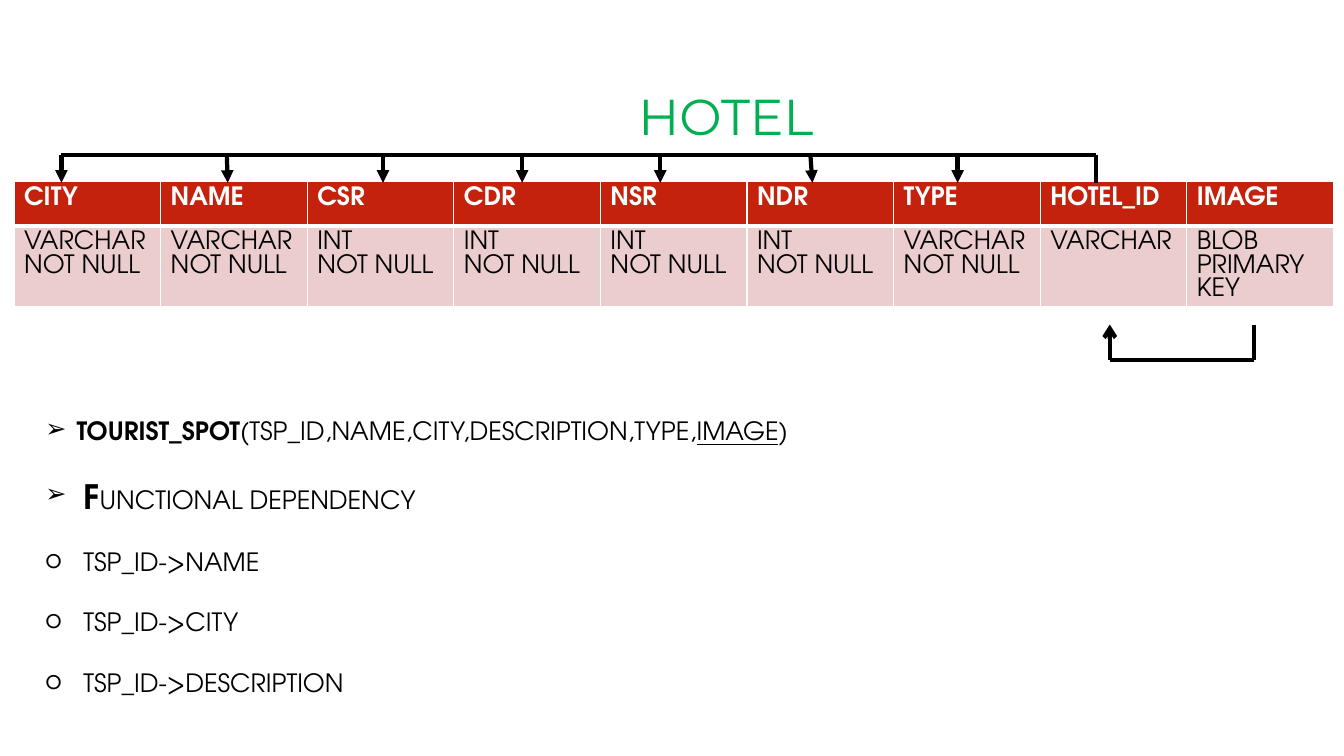
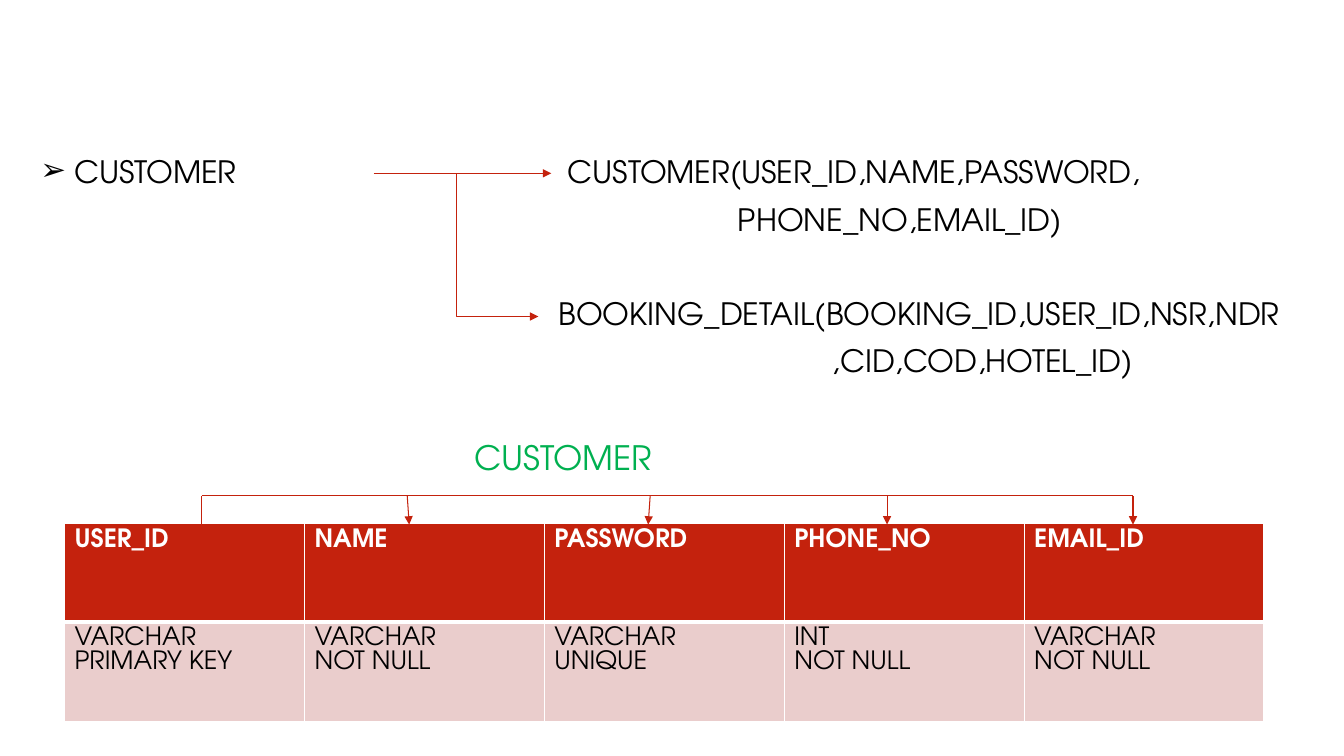
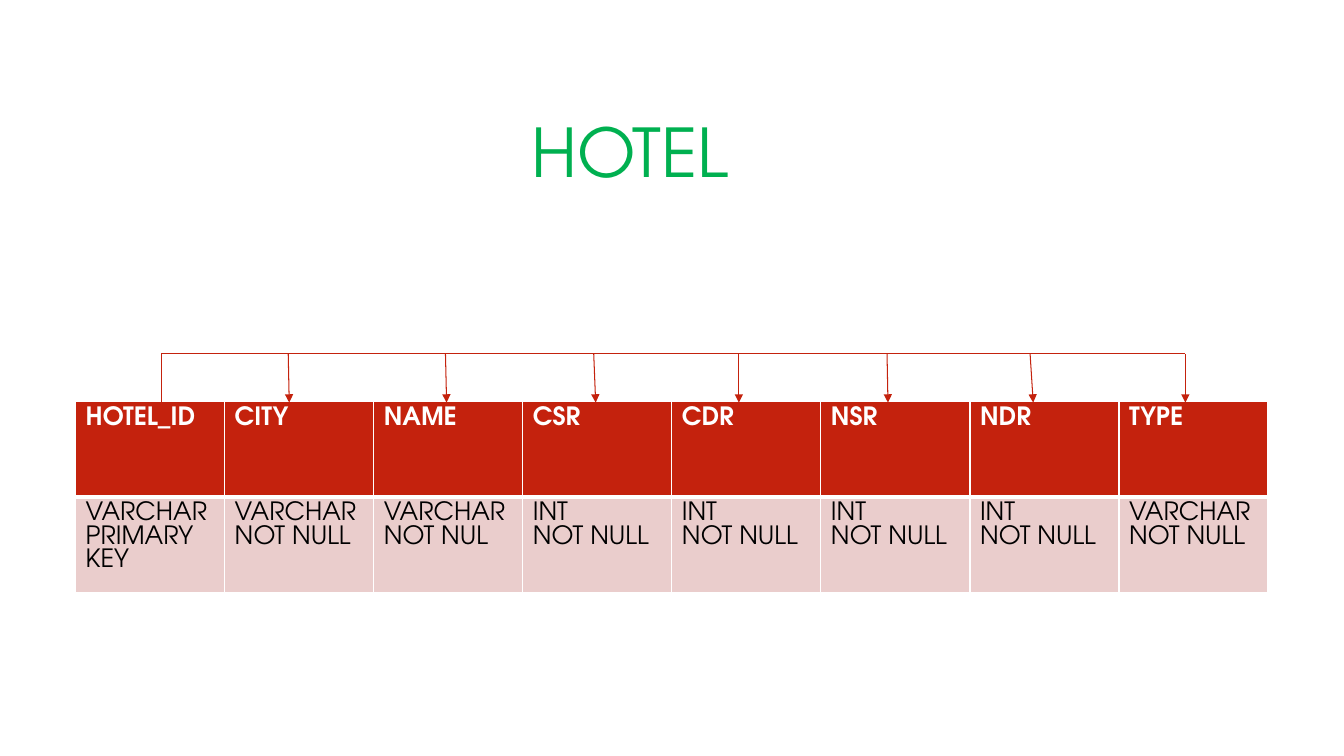
from pptx import Presentation
from pptx.dml.color import RGBColor
from pptx.enum.shapes import MSO_CONNECTOR as Connector
from pptx.enum.text import MSO_ANCHOR as Anchor, MSO_AUTO_SIZE as AutoSize, PP_ALIGN as Align
from pptx.oxml.ns import qn
from pptx.util import Pt
from lxml.etree import SubElement

FONT, TITLE_FONT = "TeX Gyre Adventor", "Montserrat"
RED, PINK, GREEN, BLACK, WHITE = "C4220D", "EACDCC", "00B050", "000000", "FFFFFF"
CELL_LEADING = 16.8
LIST_GAP = 21.6

HOTEL_FIELDS = {
    "columns": [
        ("CITY", "VARCHAR", "NOT NULL"), ("NAME", "VARCHAR", "NOT NULL"),
        ("CSR", "INT", "NOT NULL"), ("CDR", "INT", "NOT NULL"),
        ("NSR", "INT", "NOT NULL"), ("NDR", "INT", "NOT NULL"),
        ("TYPE", "VARCHAR", "NOT NULL"), ("HOTEL_ID", "VARCHAR"),
        ("IMAGE", "BLOB", "PRIMARY", "KEY")],
    "box": (10, 129.6, 942.5), "rows": (31.7, 57.6),
    "source": 782.6, "bus": 110.9, "color": BLACK, "weight": 3,
    "targets": [(43.9, 43.9), (162, 162.7), (273.6, 273.6), (373, 373),
                (471.6, 471.6), (578.9, 580.3), (684, 684)],
}
CUSTOMER_FIELDS = {
    "columns": [
        ("USER_ID", "VARCHAR", "PRIMARY KEY"), ("NAME", "VARCHAR", "NOT NULL"),
        ("PASSWORD", "VARCHAR", "UNIQUE"), ("PHONE_NO", "INT", "NOT NULL"),
        ("EMAIL_ID", "VARCHAR", "NOT NULL")],
    "box": (46.1, 373.7, 856.8), "rows": (70.8, 70.8),
    "source": 144, "bus": 354.3, "color": RED, "weight": 0.75,
    "targets": [(290.9, 292.3), (464.4, 463), (633.6, 633.6), (809.3, 809.3)],
}
HOTEL_KEY_FIELDS = {
    "columns": [
        ("HOTEL_ID", "VARCHAR", "PRIMARY", "KEY"), ("CITY", "VARCHAR", "NOT NULL"),
        ("NAME", "VARCHAR", "NOT NUL"), ("CSR", "INT", "NOT NULL"),
        ("CDR", "INT", "NOT NULL"), ("NSR", "INT", "NOT NULL"),
        ("NDR", "INT", "NOT NULL"), ("TYPE", "VARCHAR", "NOT NULL")],
    "box": (54, 286.6, 851.8), "rows": (68.4, 68.4),
    "source": 115.2, "bus": 252.7, "color": RED, "weight": 0.75,
    "targets": [(205.9, 206.6), (318.2, 319), (424.1, 425.5), (527.8, 527.8),
                (633.6, 634.3), (735.8, 738), (846.7, 846.7)],
}

PLAIN, BOLD = {}, {"bold": True}
TOURIST_SPOT_LIST = [
    ("➢", 22.3, 100, [("TOURIST_SPOT", BOLD), ("(TSP_ID,NAME,CITY,DESCRIPTION,TYPE,", PLAIN),
                      ("IMAGE", {"underline": True}), (")", PLAIN)]),
    ("➢", 27.2, 75, [("F", {"bold": True, "size": Pt(24)}), ("UNCTIONAL DEPENDENCY", PLAIN)]),
    ("o", 27.2, 100, [("TSP_ID->NAME", PLAIN)]),
    ("o", 27.2, 100, [("TSP_ID->CITY", PLAIN)]),
    ("o", 27.2, 100, [("TSP_ID->DESCRIPTION", PLAIN)]),
]
RELATIONS = [
    ("CUSTOMER(USER_ID,NAME,PASSWORD,", 6.5, 0),
    ("PHONE_NO,EMAIL_ID)", 128, 10),
    ("BOOKING_DETAIL(BOOKING_ID,USER_ID,NSR,NDR", 0, 43.7),
    (",CID,COD,HOTEL_ID)", 195, 10),
]


def rgb(color):
    return RGBColor.from_string(color)


def add_run(paragraph, text, size=18, color=BLACK, font=FONT, **extra):
    run = paragraph.add_run()
    run.text = text
    formats = {"name": font, "size": Pt(size), "bold": False, **extra}
    for name, value in formats.items():
        setattr(run.font, name, value)
    run.font.color.rgb = rgb(color)


def format_paragraph(paragraph, **formats):
    for name, value in {"space_before": Pt(0), "space_after": Pt(0), **formats}.items():
        setattr(paragraph, name, value)


def indent(paragraph, left, bullet=None, percent=100):
    properties = paragraph._p.get_or_add_pPr()
    properties.set("marL", str(Pt(left)))
    properties.set("indent", str(-Pt(left) if bullet else 0))
    if bullet:
        SubElement(properties, qn("a:buSzPct")).set("val", str(percent * 1000))
        SubElement(properties, qn("a:buFont")).set("typeface", FONT)
        SubElement(properties, qn("a:buChar")).set("char", bullet)


def place(shape, box, anchor=Anchor.TOP):
    shape.left, shape.top, shape.width, shape.height = map(Pt, box)
    frame = shape.text_frame
    for name, value in {"word_wrap": True, "auto_size": AutoSize.NONE,
                        "vertical_anchor": anchor}.items():
        setattr(frame, name, value)
    return frame


def paragraphs_for(frame, items):
    for index, item in enumerate(items):
        yield (frame.add_paragraph() if index else frame.paragraphs[0]), item


def set_title(slide, text, box, size, font=FONT, align=Align.RIGHT):
    paragraph = place(slide.shapes.title, box, Anchor.MIDDLE).paragraphs[0]
    format_paragraph(paragraph, alignment=align, line_spacing=0.9)
    add_run(paragraph, text, size, GREEN, font)


def add_line(slide, start, end, color, weight, arrow=None, kind=Connector.STRAIGHT):
    connector = slide.shapes.add_connector(kind, *map(Pt, (*start, *end)))
    connector.line.color.rgb = rgb(color)
    connector.line.width = Pt(weight)
    properties = connector._element.spPr
    if arrow:
        SubElement(properties.find(qn("a:ln")), qn("a:tailEnd")).set("type", arrow)
    SubElement(properties, qn("a:effectLst"))


def fill_cell(cell, lines, header):
    properties = cell._tc.get_or_add_tcPr()
    widths = {"lnL": 1, "lnR": 1, "lnT": 1 if header else 3, "lnB": 3 if header else 1}
    for tag, width in widths.items():
        border = SubElement(properties, qn("a:" + tag))
        border.set("w", str(Pt(width)))
        SubElement(SubElement(border, qn("a:solidFill")), qn("a:srgbClr")).set("val", WHITE)
    cell.fill.solid()
    cell.fill.fore_color.rgb = rgb(RED if header else PINK)
    for paragraph, line in paragraphs_for(cell.text_frame, lines):
        format_paragraph(paragraph, line_spacing=Pt(CELL_LEADING))
        add_run(paragraph, line, color=WHITE if header else BLACK, bold=header)


def add_field_table(slide, fields):
    columns, rows = fields["columns"], fields["rows"]
    left, top, width = fields["box"]
    table = slide.shapes.add_table(2, len(columns), *map(Pt, (left, top, width, sum(rows)))).table
    for row, height in zip(table.rows, rows):
        row.height = Pt(height)
    for index, (name, *details) in enumerate(columns):
        table.columns[index].width = Pt(width / len(columns))
        fill_cell(table.cell(0, index), [name], True)
        fill_cell(table.cell(1, index), details, False)

    source, bus, tip = fields["source"], fields["bus"], top + 1
    style = fields["color"], fields["weight"]
    farthest = max((start for start, _ in fields["targets"]), key=lambda x: abs(x - source))
    add_line(slide, (source, tip), (source, bus), *style)
    add_line(slide, (source, bus), (farthest, bus), *style)
    for start, end in fields["targets"]:
        add_line(slide, (start, bus), (end, tip), *style, "triangle")


def build_hotel(slide):
    set_title(slide, "HOTEL", (228.2, 60.5, 360, 49.7), 36, TITLE_FONT)
    add_field_table(slide, HOTEL_FIELDS)
    image_x, hotel_x, loop_top, loop_bottom = 895.7, 792.7, 231.8, 257
    corners = [(image_x, loop_top), (image_x, loop_bottom),
               (hotel_x, loop_bottom), (hotel_x, loop_top)]
    for start, end, arrow in zip(corners, corners[1:], (None, None, "arrow")):
        add_line(slide, start, end, BLACK, 3, arrow)
    frame = place(slide.placeholders[1], (25.2, 293, 915.1, 232.6))
    for paragraph, (bullet, left, percent, runs) in paragraphs_for(frame, TOURIST_SPOT_LIST):
        indent(paragraph, left, bullet, percent)
        format_paragraph(paragraph, space_after=Pt(LIST_GAP), line_spacing=1.0)
        for text, formats in runs:
            add_run(paragraph, text, **{"size": 18, **formats} if "size" not in formats
                    else {**formats, "size": formats["size"].pt})


def build_customer(slide):
    set_title(slide, "CUSTOMER", (331.4, 313, 200, 30), 24, align=Align.LEFT)
    paragraph = place(slide.placeholders[1], (21.6, 108.7, 240, 34)).paragraphs[0]
    indent(paragraph, 24.2, "➢")
    format_paragraph(paragraph, line_spacing=0.9)
    add_run(paragraph, "CUSTOMER", 22)
    frame = place(slide.shapes.add_textbox(0, 0, 0, 0), (392, 108.7, 568, 170))
    for paragraph, (text, left, gap) in paragraphs_for(frame, RELATIONS):
        indent(paragraph, left)
        format_paragraph(paragraph, space_before=Pt(gap), line_spacing=0.9)
        add_run(paragraph, text, 22)
    fork = (267.1, 123.8)
    add_line(slide, fork, (384.5, 226.1), RED, 0.75, "triangle", Connector.ELBOW)
    add_line(slide, fork, (393.8, 123.8), RED, 0.75, "triangle")
    add_field_table(slide, CUSTOMER_FIELDS)


def build_hotel_key(slide):
    set_title(slide, "HOTEL", (228.2, 60.5, 299.5, 101.5), 48)
    add_field_table(slide, HOTEL_KEY_FIELDS)


def main():
    presentation = Presentation()
    presentation.slide_width, presentation.slide_height = Pt(960), Pt(540)
    for layout, build in ((1, build_hotel), (1, build_customer), (5, build_hotel_key)):
        build(presentation.slides.add_slide(presentation.slide_layouts[layout]))
    presentation.save("out.pptx")


if __name__ == "__main__":
    main()
